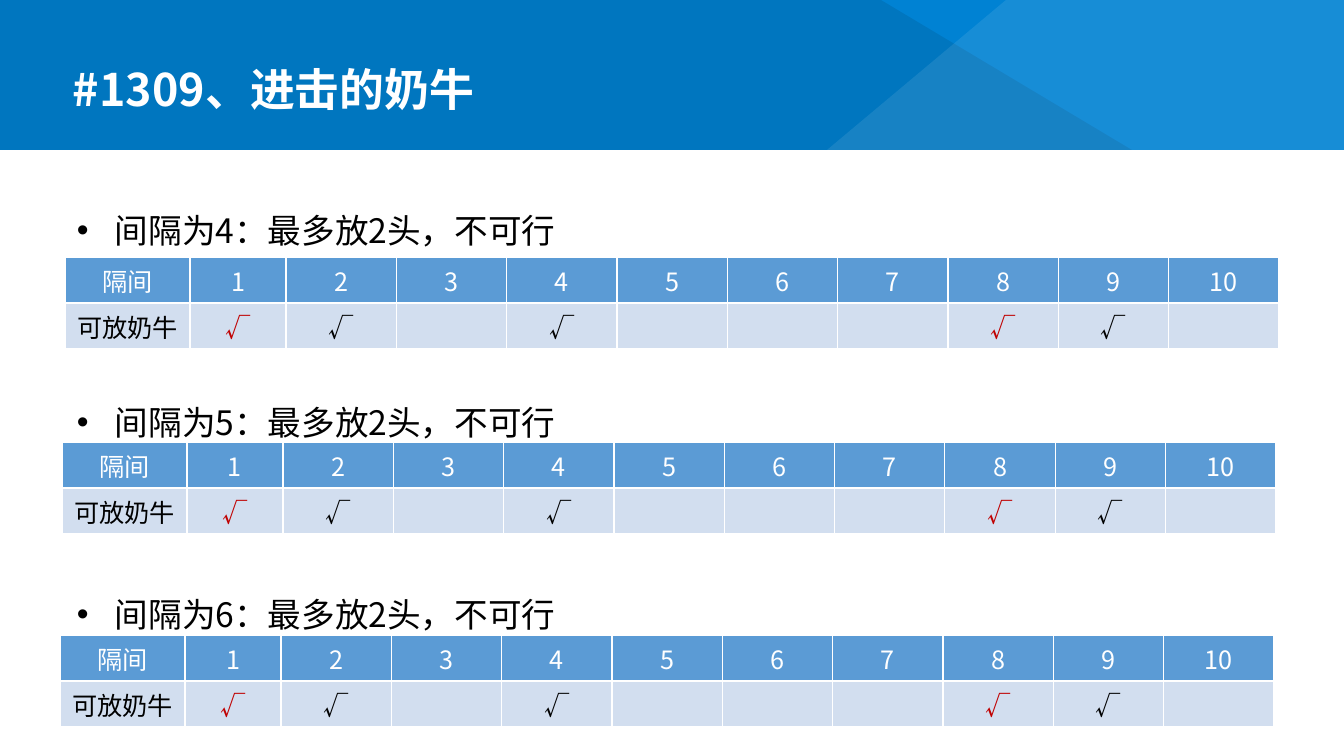
from lxml.etree import SubElement
from pptx import Presentation
from pptx.dml.color import RGBColor as Rgb
from pptx.enum.shapes import MSO_SHAPE as Shape
from pptx.enum.text import MSO_ANCHOR as Anchor, PP_ALIGN as Align
from pptx.oxml.ns import qn
from pptx.util import Emu, Pt

TITLE = "#1309、进击的奶牛"
HEAD = "隔间"
LABEL = "可放奶牛"
TICK = "√"
STALLS = range(1, 11)
FREE = {2, 4, 9}
USED = {1, 8}
# bullet text, table left, table top
CASES = [
    ("间隔为4：最多放2头，不可行", 65, 257),
    ("间隔为5：最多放2头，不可行", 62, 442),
    ("间隔为6：最多放2头，不可行", 60, 635),
]
COLORS = {
    "band": "0082D3", "white": "FFFFFF", "black": "000000",
    "head": "5B9BD5", "row": "D2DEEF", "red": "C00000",
}
FONT = "Noto Sans CJK SC"
WIDE, HIGH, BAND = 1344, 756, 150
FACETS = [
    ("black", [(0, 0), (881, 0), (1132, BAND), (0, BAND)]),
    ("white", [(1006, 0), (WIDE, 0), (WIDE, BAND), (827, BAND)]),
]
TABLE, FIRST, SECOND, ROW = 1214, 125, 96, 46
INDENT = 38


def px(n):
    return Emu(round(n * 914400 / 100.8))


def paint(fill, name):
    fill.solid()
    fill.fore_color.rgb = Rgb.from_string(COLORS[name])


def write(para, text, color, size, bold=False, **form):
    run = para.add_run()
    run.text = text
    for key, val in {"name": FONT, "size": Pt(size), "bold": bold}.items():
        setattr(run.font, key, val)
    run.font.color.rgb = Rgb.from_string(COLORS[color])
    SubElement(run.font._element, qn("a:ea"), typeface=FONT)
    for key, val in form.items():
        setattr(para, key, val)


def add_text(slide, *box):
    frame = slide.shapes.add_textbox(*map(px, box)).text_frame
    frame.word_wrap = True
    return frame


def add_band(slide):
    band = slide.shapes.add_shape(Shape.RECTANGLE, 0, 0, px(WIDE), px(BAND))
    parts = [(band, "band")]
    for color, points in FACETS:
        pen = slide.shapes.build_freeform(*points[0], scale=px(1))
        pen.add_line_segments(points[1:], close=True)
        parts.append((pen.convert_to_shape(), color))
    for shape, color in parts:
        shape.shadow.inherit = False
        shape.line.fill.background()
        paint(shape.fill, color)
    for shape, _ in parts[1:]:
        tint = shape._element.spPr.find(".//" + qn("a:srgbClr"))
        SubElement(tint, qn("a:alpha"), val="9000")


def add_list(slide):
    frame = add_text(slide, 67, 185, 1217, 514)
    for i, (text, _, _) in enumerate(CASES):
        para = frame.add_paragraph() if i else frame.paragraphs[0]
        props = para._p.get_or_add_pPr()
        props.set("marL", str(px(INDENT)))
        props.set("indent", str(-px(INDENT)))
        write(para, text, "black", 24, line_spacing=1.5,
              space_before=Pt(94 if i else 0))
        SubElement(props, qn("a:buFont"), typeface="Arial")
        SubElement(props, qn("a:buChar"), char="•")


def add_borders(cell):
    """Put thin white lines round a cell, ahead of its fill."""
    props = cell._tc.get_or_add_tcPr()
    for i, side in enumerate("LRTB"):
        line = SubElement(props, qn("a:ln" + side), w=str(Pt(1)))
        solid = SubElement(line, qn("a:solidFill"))
        SubElement(solid, qn("a:srgbClr"), val=COLORS["white"])
        props.insert(i, line)


def add_grid(slide, left, top):
    rest = (TABLE - FIRST - SECOND) / (len(STALLS) - 1)
    widths = [FIRST, SECOND] + [rest] * (len(STALLS) - 1)
    rows = [
        [(HEAD, "white")] + [(str(n), "white") for n in STALLS],
        [(LABEL, "black")] + [
            (TICK if n in FREE | USED else "", "red" if n in USED else "black")
            for n in STALLS],
    ]
    grid = slide.shapes.add_table(
        len(rows), len(widths), *map(px, (left, top, TABLE, ROW * 2))).table
    for col, width in zip(grid.columns, widths):
        col.width = px(width)
    for r, (row, fill) in enumerate(zip(rows, ("head", "row"))):
        grid.rows[r].height = px(ROW)
        for c, (text, color) in enumerate(row):
            cell = grid.cell(r, c)
            cell.vertical_anchor = Anchor.MIDDLE
            paint(cell.fill, fill)
            add_borders(cell)
            if text:
                write(cell.text_frame.paragraphs[0], text, color, 18,
                      alignment=Align.CENTER)


def main():
    deck = Presentation()
    deck.slide_width, deck.slide_height = px(WIDE), px(HIGH)
    slide = deck.slides.add_slide(deck.slide_layouts[6])
    add_band(slide)
    title = add_text(slide, 63, 61, 977, 62)
    title.vertical_anchor = Anchor.MIDDLE
    write(title.paragraphs[0], TITLE, "white", 32, True, line_spacing=0.9)
    add_list(slide)
    for _, left, top in CASES:
        add_grid(slide, left, top)
    deck.save("out.pptx")


if __name__ == "__main__":
    main()
